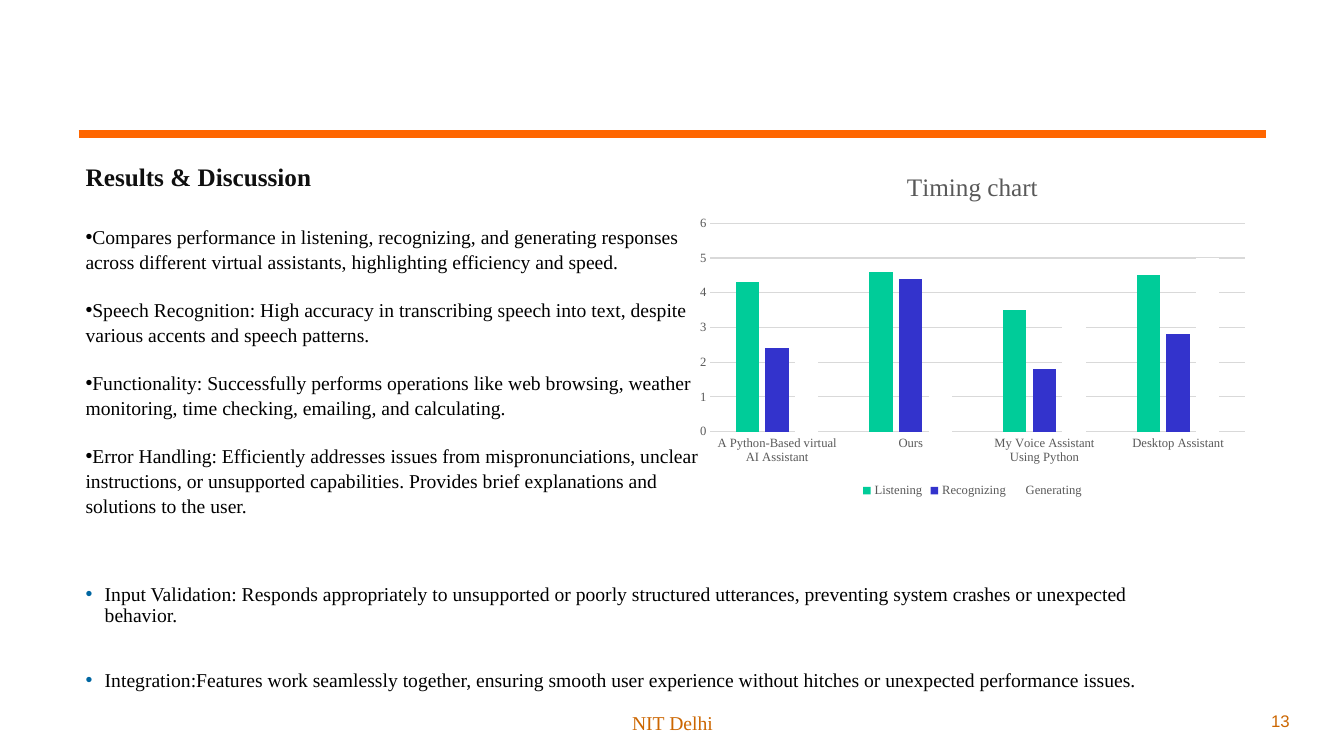
from lxml import etree
from pptx import Presentation
from pptx.chart.data import CategoryChartData
from pptx.dml.color import RGBColor
from pptx.enum.chart import XL_CHART_TYPE, XL_LEGEND_POSITION, XL_TICK_MARK
from pptx.enum.shapes import MSO_CONNECTOR
from pptx.enum.text import MSO_ANCHOR, MSO_AUTO_SIZE, PP_ALIGN
from pptx.oxml.ns import qn
from pptx.util import Inches, Pt

COLUMN = XL_CHART_TYPE.COLUMN_CLUSTERED
BOTTOM = XL_LEGEND_POSITION.BOTTOM
NO_TICK = XL_TICK_MARK.NONE
STRAIGHT = MSO_CONNECTOR.STRAIGHT
TOP = MSO_ANCHOR.TOP
NO_FIT = MSO_AUTO_SIZE.NONE
LEFT, CENTER, RIGHT = PP_ALIGN.LEFT, PP_ALIGN.CENTER, PP_ALIGN.RIGHT

ORANGE = RGBColor(0xFF, 0x66, 0x00)
BROWN = RGBColor(0xCC, 0x66, 0x00)
BLACK = RGBColor(0x00, 0x00, 0x00)
INK = RGBColor(0x0F, 0x0F, 0x0F)
BLUE = RGBColor(0x00, 0x66, 0xA1)
GRAY = RGBColor(0x59, 0x59, 0x59)
GRID = RGBColor(0xD9, 0xD9, 0xD9)
GREEN = RGBColor(0x00, 0xCC, 0x99)
INDIGO = RGBColor(0x33, 0x33, 0xCC)
WHITE = RGBColor(0xFF, 0xFF, 0xFF)

SERIF, SANS = "Times New Roman", "Arial"

FINDINGS = [
    "Compares performance in listening, recognizing, and generating responses "
    "across different virtual assistants, highlighting efficiency and speed.",
    "Speech Recognition: High accuracy in transcribing speech into text, "
    "despite various accents and speech patterns.",
    "Functionality: Successfully performs operations like web browsing, "
    "weather monitoring, time checking, emailing, and calculating.",
    "Error Handling: Efficiently addresses issues from mispronunciations, "
    "unclear instructions, or unsupported capabilities. Provides brief "
    "explanations and solutions to the user.",
]
CHECKS = [
    "Input Validation: Responds appropriately to unsupported or poorly "
    "structured utterances, preventing system crashes or unexpected behavior.",
    "Integration:Features work seamlessly together, ensuring smooth user "
    "experience without hitches or unexpected performance issues.",
]
TOOLS = ["A Python-Based virtual AI Assistant", "Ours",
         "My Voice Assistant Using Python", "Desktop Assistant"]
TIMES = [
    ("Listening", (4.3, 4.6, 3.5, 4.5), GREEN),
    ("Recognizing", (2.4, 4.4, 1.8, 2.8), INDIGO),
    ("Generating", (2, 1.5, 3, 5), WHITE),
]


def style(font, size, color, name=SERIF, bold=False):
    font.size, font.name, font.bold = Pt(size), name, bold
    font.color.rgb = color


def add_bullet(para, color, indent):
    props = para._p.get_or_add_pPr()
    props.set("marL", str(Inches(indent)))
    props.set("indent", str(-Inches(indent)))
    tint = etree.SubElement(props, qn("a:buClr"))
    etree.SubElement(tint, qn("a:srgbClr"), val=str(color))
    etree.SubElement(props, qn("a:buFont"), typeface=SANS)
    etree.SubElement(props, qn("a:buChar"), char="•")


def put_text(shape, lines, size=14, color=BLACK, name=SERIF, bold=False,
             align=LEFT, space=1.0, gap=0, bullet=None, indent=0):
    frame = shape.text_frame
    frame.word_wrap, frame.auto_size = True, NO_FIT
    frame.vertical_anchor = TOP
    for i, line in enumerate(lines):
        para = frame.paragraphs[0] if i == 0 else frame.add_paragraph()
        para.alignment, para.line_spacing = align, space
        para.space_before = Pt(gap if i else 0)
        if bullet is not None:
            add_bullet(para, bullet, indent)
        run = para.add_run()
        run.text = line
        style(run.font, size, color, name, bold)


def add_box(slide, left, top, width, height, lines, **form):
    box = slide.shapes.add_textbox(
        Inches(left), Inches(top), Inches(width), Inches(height))
    put_text(box, lines, **form)


def set_title(slide, text):
    title = slide.shapes.title
    title.left, title.top = Inches(0.75), Inches(1.55)
    title.width, title.height = Inches(9), Inches(0.5)
    put_text(title, [text], size=18, color=INK, bold=True)


def add_rule(slide):
    rule = slide.shapes.add_connector(
        STRAIGHT, Inches(0.78), Inches(1.33), Inches(12.56), Inches(1.33))
    rule.line.color.rgb, rule.line.width = ORANGE, Pt(6)
    etree.SubElement(rule._element.spPr, qn("a:effectLst"))


def add_timing(slide):
    data = CategoryChartData()
    data.categories = TOOLS
    for name, values, _ in TIMES:
        data.add_series(name, values)
    chart = slide.shapes.add_chart(
        COLUMN, Inches(6.83), Inches(1.53), Inches(5.63), Inches(3.45),
        data).chart
    style(chart.font, 10, BLACK)

    # Title and legend
    chart.has_title = True
    para = chart.chart_title.text_frame.paragraphs[0]
    run = para.add_run()
    run.text = "Timing chart"
    style(run.font, 18, GRAY)
    chart.has_legend = True
    chart.legend.position = BOTTOM
    chart.legend.include_in_layout = False
    style(chart.legend.font, 9, GRAY)

    # Columns
    plot = chart.plots[0]
    plot.gap_width, plot.overlap = 219, -27
    plot.vary_by_categories = False
    for series, (_, _, color) in zip(plot.series, TIMES):
        series.format.fill.solid()
        series.format.fill.fore_color.rgb = color
        series.invert_if_negative = False

    # Axes
    cats, vals = chart.category_axis, chart.value_axis
    for axis in (cats, vals):
        axis.major_tick_mark = axis.minor_tick_mark = NO_TICK
        style(axis.tick_labels.font, 9, GRAY)
    vals.minimum_scale, vals.maximum_scale, vals.major_unit = 0, 6, 1
    vals.format.line.fill.background()
    for line in (cats.format.line, vals.major_gridlines.format.line):
        line.color.rgb, line.width = GRID, Pt(0.75)


def main():
    deck = Presentation()
    deck.slide_width, deck.slide_height = Inches(13.33), Inches(7.5)
    slide = deck.slides.add_slide(deck.slide_layouts[5])

    # Heading
    add_rule(slide)
    set_title(slide, "Results & Discussion")

    # Footer
    add_box(slide, 10.11, 7, 2.78, 0.5, ["13"], size=12, color=BROWN,
            name=SANS, align=RIGHT)
    add_box(slide, 4.56, 7, 4.22, 0.5, ["NIT Delhi"], color=BROWN,
            align=CENTER)

    # Findings and chart
    add_box(slide, 0.75, 2.17, 6.36, 2.95, FINDINGS, space=1.05, gap=17,
            bullet=BLACK)
    add_timing(slide)
    add_box(slide, 0.75, 5.75, 11.25, 1.25, CHECKS, space=0.9, gap=31,
            bullet=BLUE, indent=0.19)

    deck.save("out.pptx")


if __name__ == "__main__":
    main()
